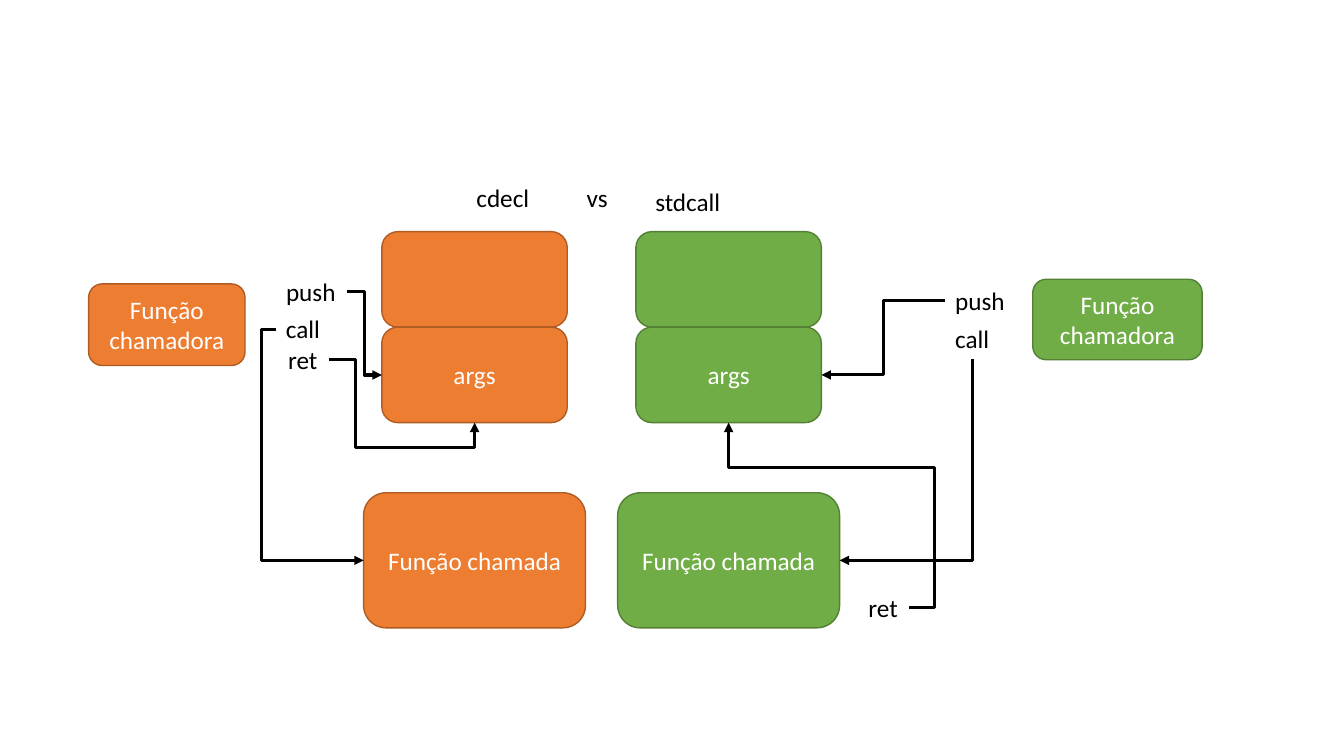
import pptx
import pptx.dml.color
import pptx.enum.shapes
import pptx.enum.text
import pptx.oxml
import pptx.oxml.ns
import pptx.util
from dataclasses import dataclass

Pt = pptx.util.Pt
color = pptx.dml.color.RGBColor.from_string
qn = pptx.oxml.ns.qn


@dataclass(frozen=True)
class Theme:
    """Colours as (fill, outline) pairs, and type settings."""
    cdecl: tuple = ("ED7D31", "AF5C24")
    stdcall: tuple = ("70AD47", "538035")
    dark: str = "000000"
    light: str = "FFFFFF"
    font: str = "Calibri"
    size: int = 18
    box_line: float = 1
    arrow_line: float = 2.25


theme = Theme()
presentation = pptx.Presentation()
presentation.slide_width, presentation.slide_height = Pt(960), Pt(540)
slide = presentation.slides.add_slide(presentation.slide_layouts[6])


def write(shape, text, ink):
    """Put one paragraph of themed text in a shape."""
    paragraph = shape.text_frame.paragraphs[0]
    paragraph.text = text
    paragraph.font.name = theme.font
    paragraph.font.size = Pt(theme.size)
    paragraph.font.color.rgb = color(ink)
    return paragraph


def add_box(text, colors, left, top, width, height):
    """Add a rounded box with centred text."""
    box = slide.shapes.add_shape(
        pptx.enum.shapes.MSO_SHAPE.ROUNDED_RECTANGLE,
        Pt(left), Pt(top), Pt(width), Pt(height))
    box.shadow.inherit = False
    box.fill.solid()
    box.fill.fore_color.rgb = color(colors[0])
    box.line.color.rgb = color(colors[1])
    box.line.width = Pt(theme.box_line)
    box.text_frame.vertical_anchor = pptx.enum.text.MSO_ANCHOR.MIDDLE
    if text:
        write(box, text, theme.light).alignment = pptx.enum.text.PP_ALIGN.CENTER


# Each convention has a two-cell stack above its called function
stack_width, cell_height, stack_top = 132.5, 68.2, 165.5
called_width = 158.5
for colors, center in ((theme.cdecl, 339), (theme.stdcall, 520.5)):
    for row, text in enumerate(("", "args")):
        add_box(text, colors, center - stack_width / 2,
                stack_top + row * cell_height, stack_width, cell_height)
    add_box("Função chamada", colors, center - called_width / 2, 352, called_width, 96.5)

add_box("Função chamadora", theme.cdecl, 63.3, 202.8, 111.7, 58.3)
add_box("Função chamadora", theme.stdcall, 737.7, 199.5, 121, 57.5)

labels = [
    ("cdecl", 333.2, 126.7, 52.5),
    ("vs", 412, 126.7, 29.5),
    ("stdcall", 461, 129.6, 61),
    ("push", 197.2, 193.7, 50.2),
    ("call", 197.2, 220.5, 39),
    ("ret", 198.7, 242.7, 36),
    ("push", 675.2, 200.4, 50.2),
    ("call", 675.2, 227.2, 39),
    ("ret", 613.3, 419.8, 36),
]
for text, left, top, width in labels:
    label = slide.shapes.add_textbox(Pt(left), Pt(top), Pt(width), Pt(29))
    label.text_frame.word_wrap = False
    label.text_frame.auto_size = pptx.enum.text.MSO_AUTO_SIZE.SHAPE_TO_FIT_TEXT
    write(label, text, theme.dark)

# Begin, end, preset, bend positions as shares of the extent, end with the arrowhead
arrows = [
    ((247.7, 208.2), (272.8, 267.8), "bentConnector3", (0.5,), "tailEnd"),
    ((234.7, 257), (339, 301.9), "bentConnector4", (0.184, 1.403), "tailEnd"),
    ((197.2, 235.2), (259.8, 400.3), "bentConnector3", (-0.163,), "tailEnd"),
    ((675.2, 214.8), (586.8, 267.8), "bentConnector3", (0.5,), "tailEnd"),
    ((599.8, 400.3), (694.7, 256.3), "bentConnector2", (), "headEnd"),
    ((649.3, 434.2), (520.5, 301.9), "bentConnector4", (-0.14, 0.76), "tailEnd"),
]
for begin, end, preset, bends, arrow_end in arrows:
    connector = slide.shapes.add_connector(
        pptx.enum.shapes.MSO_CONNECTOR.ELBOW, *map(Pt, begin + end))
    connector.line.color.rgb = color(theme.dark)
    connector.line.width = Pt(theme.arrow_line)
    properties = connector._element.spPr
    geometry = properties.find(qn("a:prstGeom"))
    geometry.set("prst", preset)
    guides = geometry.get_or_add_avLst()
    for number, bend in enumerate(bends, 1):
        guide = pptx.oxml.parse_xml(f'<a:gd {pptx.oxml.ns.nsdecls("a")}/>')
        guide.set("name", f"adj{number}")
        guide.set("fmla", f"val {round(bend * 100000)}")
        guides.append(guide)
    arrowhead = pptx.oxml.parse_xml(
        f'<a:{arrow_end} {pptx.oxml.ns.nsdecls("a")} type="triangle"/>')
    properties.find(qn("a:ln")).append(arrowhead)
    properties.append(pptx.oxml.parse_xml(f'<a:effectLst {pptx.oxml.ns.nsdecls("a")}/>'))

presentation.save("out.pptx")
